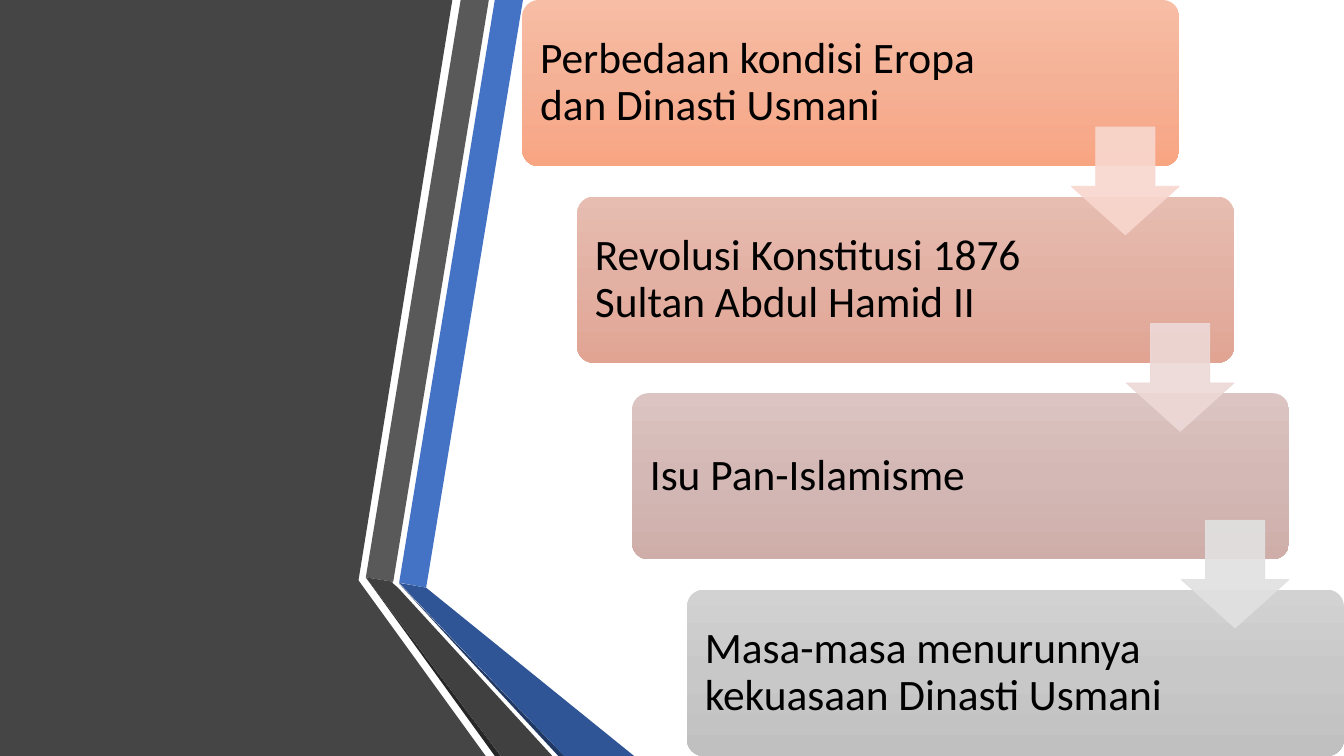
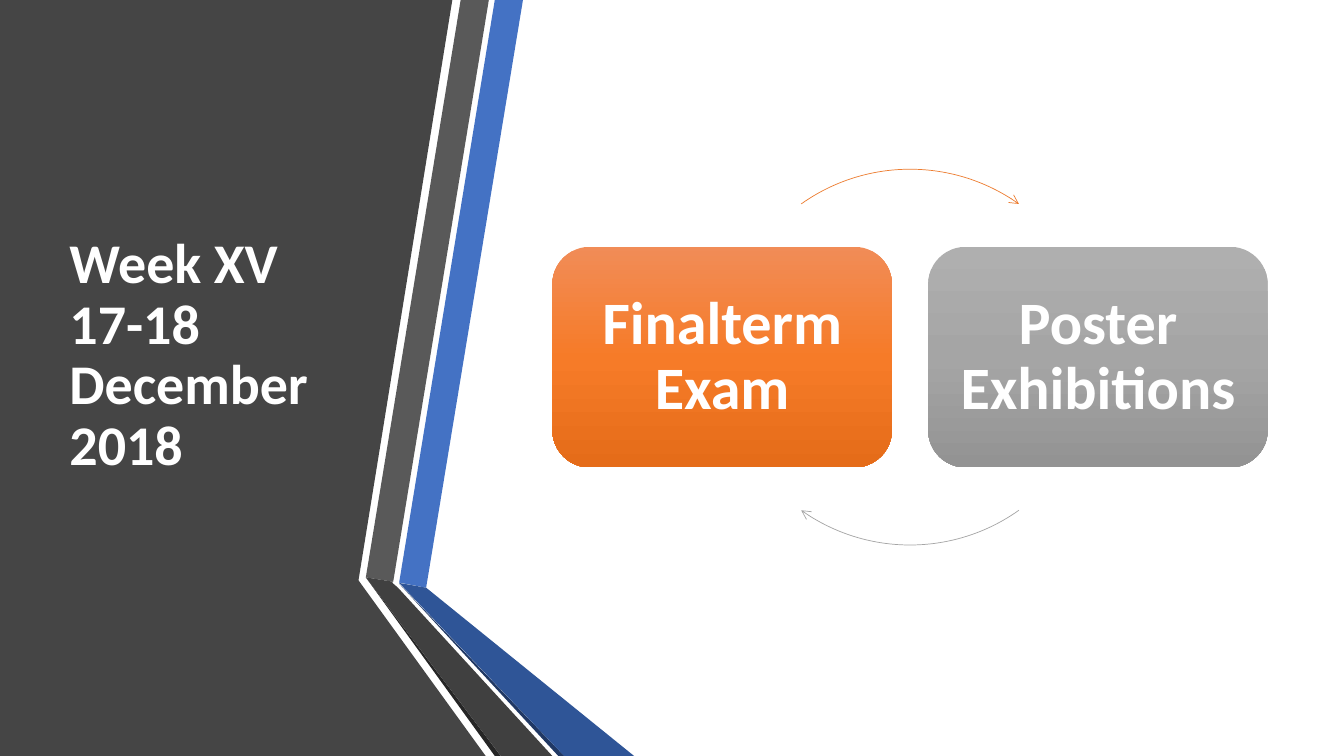
from copy import deepcopy
from dataclasses import dataclass

from lxml import etree
from pptx import Presentation
from pptx.dml.color import RGBColor
from pptx.enum.shapes import MSO_SHAPE
from pptx.enum.text import MSO_ANCHOR, MSO_AUTO_SIZE, PP_ALIGN
from pptx.oxml.ns import qn
from pptx.shapes.autoshape import Shape
from pptx.slide import Slide
from pptx.util import Cm, Pt

ROUNDED = MSO_SHAPE.ROUNDED_RECTANGLE
DOWN_ARROW = MSO_SHAPE.DOWN_ARROW
ARC = MSO_SHAPE.ARC
MIDDLE = MSO_ANCHOR.MIDDLE
NO_AUTOFIT = MSO_AUTO_SIZE.NONE
LEFT = PP_ALIGN.LEFT
CENTER = PP_ALIGN.CENTER

TITLE_ONLY_LAYOUT = 5
BLANK_LAYOUT = 6
SLIDE_WIDTH = 33.87
SLIDE_HEIGHT = 19.05


@dataclass(frozen=True)
class Theme:
    font: str = "Calibri"
    title_size: int = 40
    step_size: int = 31
    card_size: int = 43
    hairline: float = 0.5
    light_text: str = "FFFFFF"
    dark_text: str = "000000"
    panel: str = "454545"
    blue: str = "4472C4"
    blue_dark: str = "2F5597"
    blue_shadow: str = "203864"
    gray: str = "595959"
    gray_dark: str = "404040"
    gray_shadow: str = "262626"
    orange: str = "ED7D31"
    silver: str = "A5A5A5"


THEME = Theme()


@dataclass(frozen=True)
class Band:
    color: str
    points: tuple[tuple[float, float], ...]


@dataclass(frozen=True)
class Card:
    text: str
    gradient: tuple[str, str, str]
    accent: str = ""


@dataclass(frozen=True)
class Box:
    left: float
    top: float
    width: float
    height: float


BANDS = (
    Band(THEME.panel, ((0, 0), (11.4, 0), (9.04, 14.6), (9.04, 14.63),
                       (12.24, SLIDE_HEIGHT), (0, SLIDE_HEIGHT))),
    Band(THEME.blue, ((10.06, 14.68), (10.74, 14.81), (13.18, 0), (12.47, 0))),
    Band(THEME.gray, ((12.32, 0), (11.61, 0), (9.22, 14.55), (9.91, 14.66))),
    Band(THEME.gray_shadow, ((9.22, 14.55), (12.47, SLIDE_HEIGHT), (12.62, SLIDE_HEIGHT))),
    Band(THEME.blue_shadow, ((10.06, 14.71), (14.07, SLIDE_HEIGHT), (14.22, SLIDE_HEIGHT))),
    Band(THEME.blue_dark, ((10.06, 14.69), (14.22, SLIDE_HEIGHT),
                           (15.98, SLIDE_HEIGHT), (10.74, 14.81))),
    Band(THEME.gray_dark, ((13.92, SLIDE_HEIGHT), (10.03, 14.81), (9.88, 14.68),
                           (9.91, 14.66), (9.22, 14.55), (12.62, SLIDE_HEIGHT))),
)

STEPS = (
    Card("Perbedaan kondisi Eropa dan Dinasti Usmani", ("F7BDA5", "F5B196", "F8A582"), "F8D7CE"),
    Card("Revolusi Konstitusi 1876 Sultan Abdul Hamid II", ("E7BDB1", "E2B1A3", "E1A493"), "EDD9D7"),
    Card("Isu Pan-Islamisme", ("DBC4C1", "D3B8B5", "CFAEA9"), "E1E1E1"),
    Card("Masa-masa menurunnya kekuasaan Dinasti Usmani", ("D2D2D2", "C8C8C8", "C0C0C0")),
)

CYCLE = (
    Card("Finalterm Exam", ("F18C57", "F67B28", "E56C19"), THEME.orange),
    Card("Poster Exhibitions", ("AFAFAF", "A5A5A5", "939393"), THEME.silver),
)


def rgb(color: str) -> RGBColor:
    return RGBColor.from_string(color)


def write_text(shape: Shape, text: str, *, size: float, color: str, bold: bool = False,
               align: PP_ALIGN = LEFT, inset: float = 0.25,
               right_inset: float | None = None) -> None:
    frame = shape.text_frame
    frame.word_wrap = True
    frame.auto_size = NO_AUTOFIT
    frame.vertical_anchor = MIDDLE
    frame.margin_left = frame.margin_top = frame.margin_bottom = Cm(inset)
    frame.margin_right = Cm(inset if right_inset is None else right_inset)
    paragraph = frame.paragraphs[0]
    paragraph.alignment = align
    paragraph.line_spacing = 0.9
    run = paragraph.add_run()
    run.text = text
    run.font.name = THEME.font
    run.font.size = Pt(size)
    run.font.bold = bold
    run.font.color.rgb = rgb(color)


def add_preset(slide: Slide, preset: MSO_SHAPE, box: Box,
               adjustments: tuple[float, ...] = ()) -> Shape:
    shape = slide.shapes.add_shape(preset, Cm(box.left), Cm(box.top), Cm(box.width), Cm(box.height))
    shape.shadow.inherit = False
    for index, value in enumerate(adjustments):
        shape.adjustments[index] = value
    return shape


def add_card(slide: Slide, card: Card, box: Box, corner: float) -> Shape:
    shape = add_preset(slide, ROUNDED, box, (corner,))
    shape.line.fill.background()
    shape.fill.gradient()
    shape.fill.gradient_angle = 270
    stop_list = shape._element.spPr.find(f".//{qn('a:gsLst')}")
    stop_list.insert(1, deepcopy(stop_list[0]))
    for index, (stop, color) in enumerate(zip(shape.fill.gradient_stops, card.gradient)):
        stop.position = index / 2
        stop.color.rgb = rgb(color)
    return shape


def add_step_arrow(slide: Slide, color: str, box: Box) -> None:
    arrow = add_preset(slide, DOWN_ARROW, box, (0.55, 0.45))
    arrow.fill.solid()
    arrow.fill.fore_color.rgb = rgb(color)
    arrow.line.color.rgb = rgb(color)
    arrow.line.width = Pt(THEME.hairline)
    for color_element in arrow._element.spPr.iter(qn("a:srgbClr")):
        etree.SubElement(color_element, qn("a:alpha"), val="90000")


def add_cycle_arc(slide: Slide, color: str, box: Box, start: float, end: float) -> None:
    degree = 0.6
    arc = add_preset(slide, ARC, box, (start * degree, end * degree))
    arc.fill.background()
    arc.line.color.rgb = rgb(color)
    arc.line.width = Pt(THEME.hairline)
    etree.SubElement(arc.line._get_or_add_ln(), qn("a:tailEnd"), type="arrow")


def add_bands(slide: Slide) -> None:
    for band in BANDS:
        start, *others = [(Cm(x), Cm(y)) for x, y in band.points]
        builder = slide.shapes.build_freeform(*start)
        builder.add_line_segments(others, close=True)
        shape = builder.convert_to_shape()
        shape.shadow.inherit = False
        shape.fill.solid()
        shape.fill.fore_color.rgb = rgb(band.color)
        shape.line.fill.background()


def add_base_slide(presentation: Presentation, layout: int) -> Slide:
    slide = presentation.slides.add_slide(presentation.slide_layouts[layout])
    add_bands(slide)
    return slide


def build_steps_slide(presentation: Presentation) -> None:
    slide = add_base_slide(presentation, BLANK_LAYOUT)
    left, width, height, arrow_size, arrow_drop = 13.16, 16.56, 4.19, 2.72, 3.2
    gaps = len(STEPS) - 1
    shift = (SLIDE_WIDTH - width - left) / gaps
    pitch = (SLIDE_HEIGHT - height) / gaps
    boxes = [Box(left + shift * index, pitch * index, width, height)
             for index in range(len(STEPS))]
    for step, box in zip(STEPS, boxes):
        shape = add_card(slide, step, box, 0.1)
        write_text(shape, step.text, size=THEME.step_size, color=THEME.dark_text,
                   inset=0.33, right_inset=4.4)
    for step, box in zip(STEPS[:-1], boxes):
        add_step_arrow(slide, step.accent, Box(box.left + width - arrow_size,
                                               box.top + arrow_drop, arrow_size, arrow_size))


def build_exam_slide(presentation: Presentation) -> None:
    slide = add_base_slide(presentation, TITLE_ONLY_LAYOUT)
    title = slide.shapes.title
    title.left, title.top, title.width, title.height = Cm(1.5), Cm(1.9), Cm(7.72), Cm(14.17)
    slide.shapes._spTree.append(title._element)
    write_text(title, "Week XV 17-18 December 2018", size=THEME.title_size,
               color=THEME.light_text, bold=True)
    left, top, width, height, diameter = 13.92, 6.22, 8.56, 5.56, 9.47
    circle = Box(left + width / 2, top + (height - diameter) / 2, diameter, diameter)
    arc_spans = ((-125.4, -54.6), (54.6, 125.4))
    for index, (card, (start, end)) in enumerate(zip(CYCLE, arc_spans)):
        shape = add_card(slide, card, Box(left + diameter * index, top, width, height), 0.17)
        write_text(shape, card.text, size=THEME.card_size, color=THEME.light_text,
                   bold=True, align=CENTER, inset=0.45)
        add_cycle_arc(slide, card.accent, circle, start % 360, end % 360)


def main() -> None:
    presentation = Presentation()
    presentation.slide_width = Cm(SLIDE_WIDTH)
    presentation.slide_height = Cm(SLIDE_HEIGHT)
    build_steps_slide(presentation)
    build_exam_slide(presentation)
    presentation.save("out.pptx")


if __name__ == "__main__":
    main()
